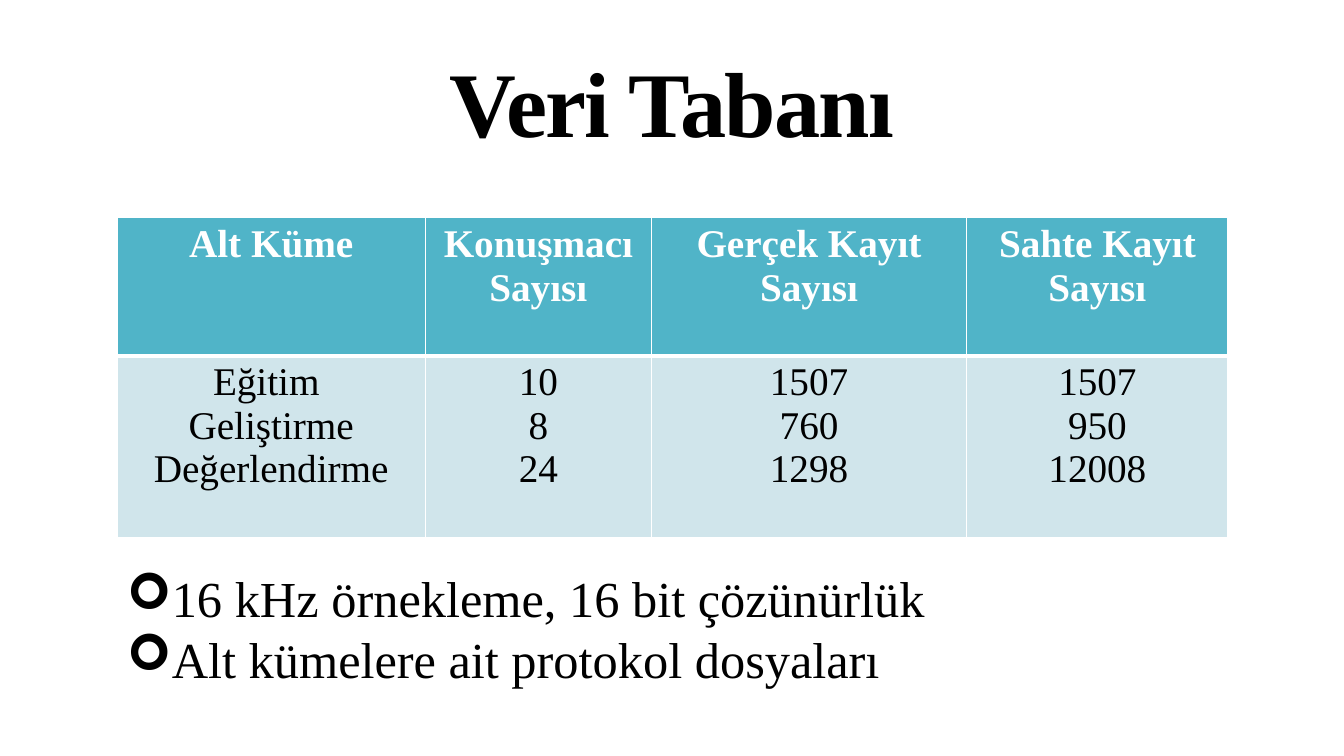
from lxml import etree
from pptx import Presentation
from pptx.dml.color import RGBColor
from pptx.enum import text as t
from pptx.oxml.ns import qn
from pptx.util import Inches, Pt

FONT = "Times New Roman"
BLACK = RGBColor(0x00, 0x00, 0x00)
WHITE = RGBColor(0xFF, 0xFF, 0xFF)
TEAL = RGBColor(0x50, 0xB4, 0xC8)
PALE_TEAL = RGBColor(0xD0, 0xE5, 0xEB)

LEFT, WIDTH = 1.16, 11.02
COLUMN_WIDTHS = [3.06, 2.24, 3.13, 2.59]
ROW_HEIGHTS = [1.37, 1.8]
# One list of paragraphs per cell
HEADER = [["Alt Küme"], ["Konuşmacı Sayısı"], ["Gerçek Kayıt", "Sayısı"], ["Sahte Kayıt Sayısı"]]
COUNTS = [["Eğitim ", "Geliştirme Değerlendirme"], ["10", "8", "24"],
          ["1507", "760", "1298"], ["1507", "950", "12008"]]
NOTES = ["16 kHz örnekleme, 16 bit çözünürlük", "Alt kümelere ait protokol dosyaları"]


def add_run(paragraph, wording, size, color, bold=False):
    run = paragraph.add_run()
    run.text = wording
    run.font.name = FONT
    run.font.size = Pt(size)
    run.font.bold = bold
    run.font.color.rgb = color
    return run


def paragraphs(frame, lines):
    """Yield a paragraph of the frame for each line."""
    for i, line in enumerate(lines):
        yield (frame.add_paragraph() if i else frame.paragraphs[0]), line


def add_box(slide, left, top, width, height):
    frame = slide.shapes.add_textbox(*map(Inches, (left, top, width, height))).text_frame
    frame.word_wrap = True
    return frame


def add_title(slide, wording):
    frame = add_box(slide, 0, 0, 13.33, 2.16)
    frame.vertical_anchor = t.MSO_ANCHOR.MIDDLE
    title = frame.paragraphs[0]
    title.alignment = t.PP_ALIGN.CENTER
    title.line_spacing = 0.85
    run = add_run(title, wording, 66, BLACK, bold=True)
    run.font._element.set("spc", "-120")


def set_borders(cell, bottom):
    properties = cell._tc.get_or_add_tcPr()
    sides = [("a:lnL", 1), ("a:lnR", 1), ("a:lnT", 1), ("a:lnB", bottom)]
    for position, (side, points) in enumerate(sides):
        line = etree.Element(qn(side), w=str(Pt(points)))
        fill = etree.SubElement(line, qn("a:solidFill"))
        etree.SubElement(fill, qn("a:srgbClr"), val=str(WHITE))
        properties.insert(position, line)


def fill_row(table, row, contents, fill, color, bold, bottom):
    for column, lines in enumerate(contents):
        cell = table.cell(row, column)
        cell.fill.solid()
        cell.fill.fore_color.rgb = fill
        set_borders(cell, bottom)
        for paragraph, line in paragraphs(cell.text_frame, lines):
            paragraph.alignment = t.PP_ALIGN.CENTER
            add_run(paragraph, line, 28, color, bold)


def add_counts_table(slide):
    table = slide.shapes.add_table(len(ROW_HEIGHTS), len(COLUMN_WIDTHS), Inches(LEFT), Inches(2.16),
                                   Inches(WIDTH), Inches(sum(ROW_HEIGHTS))).table
    for column, width in zip(table.columns, COLUMN_WIDTHS):
        column.width = Inches(width)
    for row, height in zip(table.rows, ROW_HEIGHTS):
        row.height = Inches(height)
    fill_row(table, 0, HEADER, TEAL, WHITE, bold=True, bottom=3)
    fill_row(table, 1, COUNTS, PALE_TEAL, BLACK, bold=False, bottom=1)


def add_notes(slide):
    frame = add_box(slide, LEFT, 5.58, WIDTH, 1.31)
    for paragraph, line in paragraphs(frame, NOTES):
        properties = paragraph._p.get_or_add_pPr()
        properties.set("marL", str(Inches(0.31)))
        properties.set("indent", str(Inches(-0.31)))
        etree.SubElement(properties, qn("a:buFont"), typeface="Wingdings")
        etree.SubElement(properties, qn("a:buChar"), char="➢")
        add_run(paragraph, line, 36, BLACK)


def main():
    deck = Presentation()
    deck.slide_width, deck.slide_height = Inches(13.33), Inches(7.5)
    slide = deck.slides.add_slide(deck.slide_layouts[6])
    add_title(slide, "Veri Tabanı")
    add_counts_table(slide)
    add_notes(slide)
    deck.save("out.pptx")


if __name__ == "__main__":
    main()
